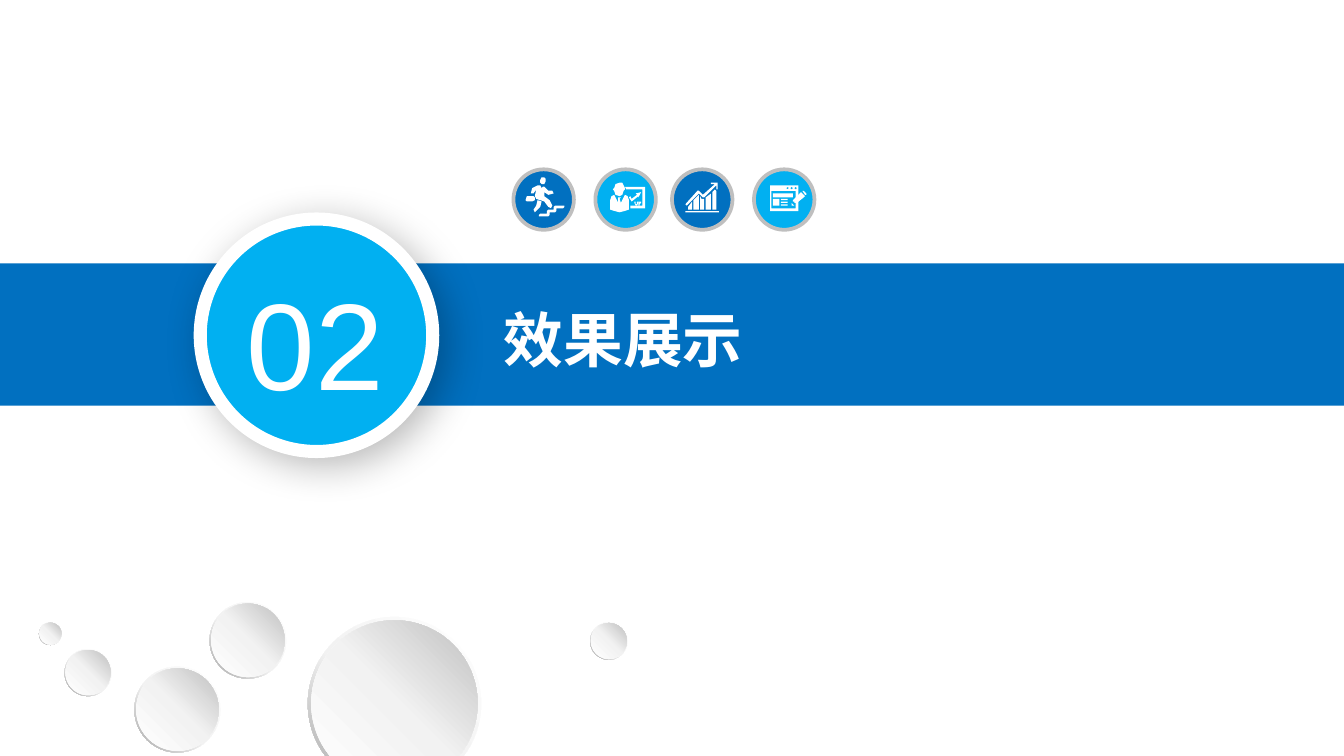
from copy import deepcopy
from dataclasses import dataclass

from lxml.etree import SubElement
from pptx import Presentation
from pptx.dml.color import RGBColor
from pptx.enum.shapes import MSO_SHAPE as Shape
from pptx.enum.text import MSO_ANCHOR as Anchor, PP_ALIGN as Align
from pptx.oxml.ns import qn
from pptx.util import Inches, Pt

WHITE, BLUE, CYAN, GREY = "FFFFFF", "0170C0", "01B0F1", "BFBFBF"
ICON_TOP, ICON_SIZE, UNIT = 1.26, 0.45, 0.01


@dataclass
class Box:
    """A preset shape measured in icon units."""
    x: int
    y: int
    w: int
    h: int
    kind: Shape = Shape.RECTANGLE


@dataclass
class Outline:
    """One or more closed contours measured in icon units."""
    contours: list


@dataclass
class Icon:
    """A round badge with its white marks."""
    left: float
    color: str
    marks: list


@dataclass
class Bubble:
    """A grey decorative ball."""
    left: float
    top: float
    size: float


def dot(x: int, y: int) -> list:
    """Return a small diamond contour around a point."""
    return [(x, y - 1), (x + 1, y), (x, y + 1), (x - 1, y)]


RUNNER = [
    Outline([[(20, 33), (25, 33), (25, 31), (26, 30), (30, 30), (30, 28), (31, 27), (38, 27), (38, 28),
              (37, 29), (32, 29), (32, 31), (31, 32), (27, 32), (27, 34), (26, 35), (19, 35), (19, 34)]]),
    Outline([[(10, 24), (14, 24), (16, 23), (16, 21), (15, 20), (10, 20), (9, 23)],
             [(15, 30), (17, 27), (18, 23), (21, 24), (20, 28), (17, 31), (16, 32)],
             [(23, 17), (23, 20), (27, 23), (29, 27), (28, 29), (26, 28), (23, 24), (17, 22), (16, 20),
              (17, 15), (15, 18), (13, 18), (14, 14), (18, 12), (20, 12), (21, 14), (22, 13), (23, 13),
              (26, 16), (29, 16), (30, 18), (26, 19)],
             [(23, 6), (24, 7), (24, 9), (23, 11), (21, 11), (20, 10), (20, 8), (21, 6)]]),
]
PRESENTER = [
    Outline([[(22, 13), (23, 15), (35, 15), (35, 27), (26, 27), (26, 29), (37, 29), (37, 13)]]),
    Outline([[(14, 16), (15, 19), (18, 20), (20, 19), (21, 16), (22, 15), (22, 14), (21, 12), (20, 10),
              (18, 10), (15, 11), (14, 14), (13, 15)]]),
    Outline([[(26, 20), (25, 21), (27, 24), (32, 20), (32, 21), (34, 17), (30, 18), (31, 19), (27, 22)]]),
    Outline([[(22, 19), (19, 25), (18, 22), (19, 21), (17, 21), (17, 25), (14, 19), (12, 20), (11, 23),
              (11, 30), (14, 31), (18, 32), (22, 31), (25, 30), (25, 23), (24, 20)]]),
    Outline([[(29, 24), (29, 25), (30, 27), (31, 27), (32, 25), (32, 24), (31, 24), (31, 26), (30, 26), (30, 24)]]),
    Outline([[(32, 24), (32, 27), (33, 27), (33, 26), (34, 25), (34, 24)]]),
]
CHART = [
    Box(10, 31, 25, 1),
    Outline([[(12, 30), (15, 30), (15, 24), (12, 28)]]),
    Outline([[(16, 30), (20, 30), (20, 19), (16, 23)]]),
    Outline([[(21, 20), (21, 30), (24, 30), (24, 22), (22, 22)]]),
    Outline([[(25, 30), (29, 30), (29, 18), (25, 21)]]),
    Outline([[(30, 17), (30, 30), (33, 30), (33, 16), (32, 15)]]),
    Outline([[(11, 27), (20, 18), (23, 21), (24, 21), (33, 12), (33, 15), (34, 15), (34, 10), (29, 10),
              (29, 11), (32, 11), (23, 19), (20, 16), (19, 16), (10, 26)]]),
]
WINDOW = [
    Outline([[(12, 12), (33, 12), (33, 31), (12, 31)], [(13, 16), (31, 16), (31, 29), (13, 29)],
             *[dot(x, 14) for x in (25, 28, 31)]]),
    Box(14, 18, 15, 3),
    Box(14, 22, 5, 5),
    *[Box(20, y, 5, 1) for y in (22, 24, 26)],
    Outline([[(28, 25), (28, 27), (30, 27)]]),
    Outline([[(38, 19), (39, 19), (39, 18), (37, 16), (36, 16)]]),
    Outline([[(35, 17), (29, 23), (29, 24), (30, 24), (30, 25), (32, 25), (38, 20)]]),
]
ICONS = [Icon(3.82, BLUE, RUNNER), Icon(4.43, CYAN, PRESENTER),
         Icon(5.61, CYAN, WINDOW), Icon(5, BLUE, CHART)]
BUBBLES = [Bubble(1, 4.96, 0.64), Bubble(4.39, 4.63, 0.28), Bubble(2.29, 4.59, 1.29),
           Bubble(1.56, 4.48, 0.57), Bubble(0.48, 4.83, 0.35), Bubble(0.29, 4.63, 0.17)]


def rgb(color: str) -> RGBColor:
    """Turn a hex string into a colour."""
    return RGBColor.from_string(color)


def paint(sp, color: str, line: str = "", width: float = 0) -> None:
    """Give a shape a solid fill and an optional line."""
    sp.shadow.inherit = False
    sp.fill.solid()
    sp.fill.fore_color.rgb = rgb(color)
    if line:
        sp.line.color.rgb = rgb(line)
        sp.line.width = Pt(width)
    else:
        sp.line.fill.background()


def add_preset(shapes, kind: Shape, left: float, top: float, w: float, h: float):
    """Add a preset shape placed in inches."""
    return shapes.add_shape(kind, Inches(left), Inches(top), Inches(w), Inches(h))


def add_outline(shapes, outline: Outline, left: float, top: float):
    """Add a freeform with all the contours of an outline."""
    first, *rest = outline.contours
    builder = shapes.build_freeform(*first[0], scale=Inches(UNIT))
    builder.add_line_segments(first[1:])
    for contour in rest:
        builder.move_to(*contour[0])
        builder.add_line_segments(contour[1:])
    return builder.convert_to_shape(Inches(left), Inches(top))


def add_icon(slide, icon: Icon) -> None:
    """Draw a badge and its marks as one group."""
    shapes = slide.shapes.add_group_shape().shapes
    badge = add_preset(shapes, Shape.OVAL, icon.left, ICON_TOP, ICON_SIZE, ICON_SIZE)
    paint(badge, icon.color, GREY, 2)
    for mark in icon.marks:
        if isinstance(mark, Box):
            sp = add_preset(shapes, mark.kind, icon.left + mark.x * UNIT, ICON_TOP + mark.y * UNIT,
                            mark.w * UNIT, mark.h * UNIT)
        else:
            sp = add_outline(shapes, mark, icon.left, ICON_TOP)
        paint(sp, WHITE)


def shade(sp, middle: float, end: str, angle: float) -> None:
    """Fill a shape with a three-stop gradient, angle counter-clockwise."""
    sp.shadow.inherit = False
    sp.line.fill.background()
    sp.fill.gradient()
    sp.fill.gradient_angle = angle
    stops = sp._element.spPr.find(qn("a:gradFill")).find(qn("a:gsLst"))
    stops.append(deepcopy(stops[0]))
    for stop, position, color in zip(sp.fill.gradient_stops, (0, middle, 1), (WHITE, "F2F2F2", end)):
        stop.position = position
        stop.color.rgb = rgb(color)


def add_bubble(slide, b: Bubble) -> None:
    """Draw a ball as a rim with a disc inside."""
    shapes = slide.shapes.add_group_shape().shapes
    rim = add_preset(shapes, Shape.DONUT, b.left, b.top, b.size, b.size)
    rim.adjustments[0] = 0.05
    shade(rim, 0.55, "A6A6A6", 225)
    inset = b.size * 0.02
    disc = add_preset(shapes, Shape.OVAL, b.left + inset, b.top + inset, b.size - 2 * inset, b.size - 2 * inset)
    shade(disc, 0.51, GREY, 45)


def add_shadow(sp, alpha: int, blur: float, distance: float, angle: int) -> None:
    """Give a painted shape a soft black outer shadow."""
    effects = sp._element.spPr.find(qn("a:effectLst"))
    outer = SubElement(effects, qn("a:outerShdw"), blurRad=str(Pt(blur)), dist=str(Pt(distance)),
                       dir=str(angle * 60000), algn="tl", rotWithShape="0")
    black = SubElement(outer, qn("a:srgbClr"), val="000000")
    SubElement(black, qn("a:alpha"), val=str(alpha * 1000))


def add_text(shapes, text: str, box: tuple, size: int, anchor: Anchor, bold: bool = False):
    """Add one line of white text and return its box."""
    sp = shapes.add_textbox(*[Inches(v) for v in box])
    tf = sp.text_frame
    tf.word_wrap, tf.vertical_anchor = True, anchor
    p = tf.paragraphs[0]
    p.text = text
    p.font.name, p.font.size, p.font.bold = "Arial", Pt(size), bold
    p.font.color.rgb = rgb(WHITE)
    return sp


def add_number(slide, text: str) -> None:
    """Draw the large numbered circle."""
    shapes = slide.shapes.add_group_shape().shapes
    circle = add_preset(shapes, Shape.OVAL, 1.49, 1.63, 1.73, 1.73)
    paint(circle, CYAN, WHITE, 7)
    add_shadow(circle, 28, 22, 6, 45)
    tf = add_text(shapes, text, (1.69, 1.94, 1.31, 1.19), 66, Anchor.BOTTOM).text_frame
    tf.margin_left = tf.margin_right = Inches(0.07)
    tf.margin_top = tf.margin_bottom = Inches(0.04)
    tf.paragraphs[0].alignment = Align.CENTER


def main() -> None:
    """Build the section slide and save it."""
    prs = Presentation()
    prs.slide_width, prs.slide_height = Inches(10), Inches(10) * 9 // 16
    slide = prs.slides.add_slide(prs.slide_layouts[6])
    paint(add_preset(slide.shapes, Shape.RECTANGLE, 0, 1.96, 10, 1.06), BLUE)
    add_text(slide.shapes, "效果展示", (3.65, 2.2, 3.87, 0.64), 32, Anchor.MIDDLE, bold=True)
    for icon in ICONS:
        add_icon(slide, icon)
    add_number(slide, "02")
    for bubble in BUBBLES:
        add_bubble(slide, bubble)
    prs.save("out.pptx")


if __name__ == "__main__":
    main()
